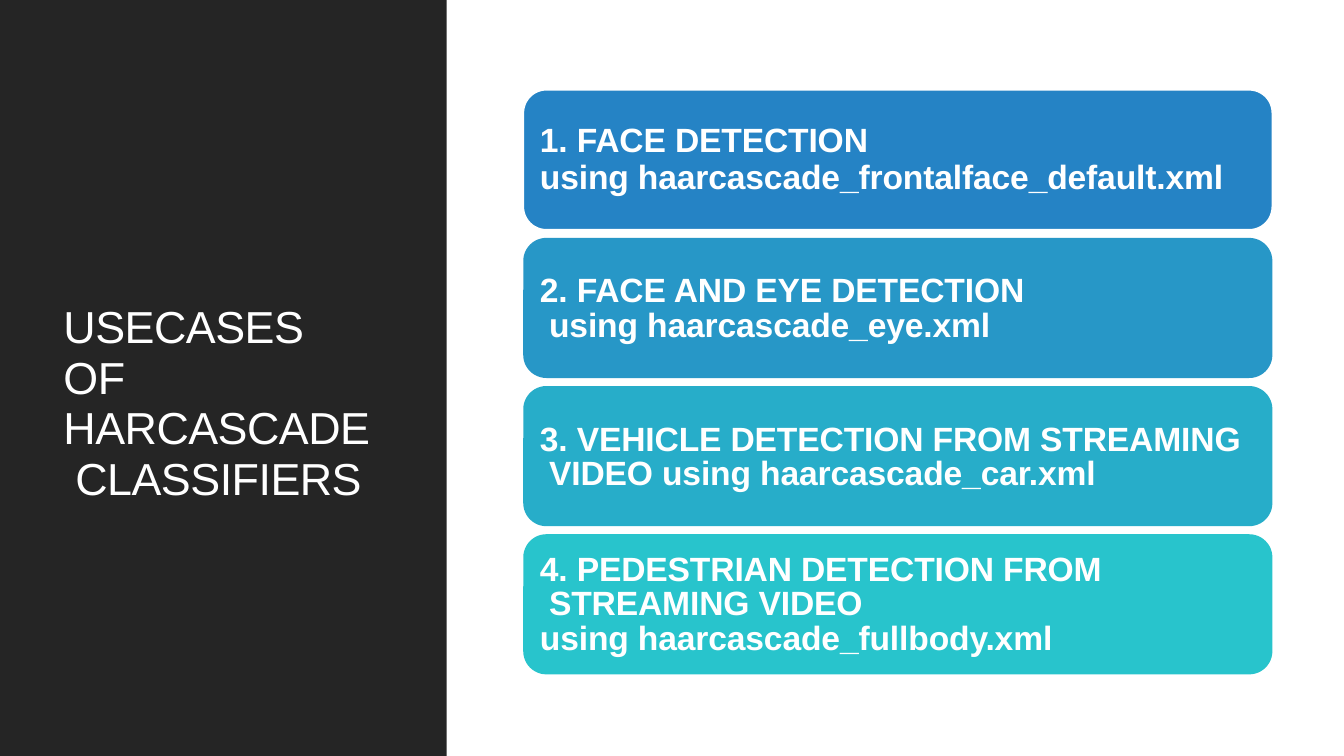
from dataclasses import dataclass

from pptx import Presentation
from pptx.dml.color import RGBColor
from pptx.enum.shapes import MSO_SHAPE
from pptx.enum.text import MSO_ANCHOR, PP_ALIGN
from pptx.shapes.autoshape import Shape
from pptx.slide import Slide
from pptx.text.text import TextFrame
from pptx.util import Inches, Pt

RECT = MSO_SHAPE.RECTANGLE
ROUND = MSO_SHAPE.ROUNDED_RECTANGLE
TOP = MSO_ANCHOR.TOP
LEFT = PP_ALIGN.LEFT

HUES = {
    "white": "FFFFFF",
    "dark": "252525",
    "blue": "2583C5",
    "azure": "2797C7",
    "teal": "27ADC9",
    "aqua": "28C4CC",
}
FONT = "Arial"
CARD_X, CARD_Y = 5.19, 0.89
CARD_W, CARD_H = 7.43, 1.39
PITCH = 1.47
TITLE = "USECASES\vOF\vHARCASCADE\v CLASSIFIERS"


@dataclass(frozen=True)
class Card:
    """One use case; inset is the gap above its text in inches."""
    hue: str
    lines: tuple[str, ...]
    inset: float
    lead: float = 24.8
    rim: bool = False


CARDS = (
    Card("blue", ("1. FACE DETECTION",
                  "using haarcascade_frontalface_default.xml"),
         0.25, 26.8, True),
    Card("azure", ("2. FACE AND EYE DETECTION\v using haarcascade_eye.xml",),
         0.3),
    Card("teal", ("3. VEHICLE DETECTION FROM STREAMING\v"
                  " VIDEO using haarcascade_car.xml",), 0.3),
    Card("aqua", ("4. PEDESTRIAN DETECTION FROM\v STREAMING VIDEO",
                  "using haarcascade_fullbody.xml"), 0.12),
)


def color(hue: str) -> RGBColor:
    return RGBColor.from_string(HUES[hue])


def add_block(slide: Slide, kind: MSO_SHAPE, x: float, y: float,
              w: float, h: float, hue: str) -> Shape:
    block = slide.shapes.add_shape(
        kind, Inches(x), Inches(y), Inches(w), Inches(h))
    block.shadow.inherit = False
    block.fill.solid()
    block.fill.fore_color.rgb = color(hue)
    block.line.fill.background()
    return block


def write(frame: TextFrame, lines: tuple[str, ...], size: float,
          lead: float | Pt, track: float, bold: bool = False,
          left: float = 0, top: float = 0) -> None:
    """Fill a frame; track is the letter spacing in points."""
    frame.word_wrap = True
    frame.vertical_anchor = TOP
    frame.margin_left, frame.margin_top = Inches(left), Inches(top)
    frame.margin_right = frame.margin_bottom = 0
    frame.text = "\n".join(lines)
    for para in frame.paragraphs:
        para.alignment = LEFT
        para.line_spacing = lead
        para.font.name = FONT
        para.font.size = Pt(size)
        para.font.bold = bold
        para.font.color.rgb = color("white")
        for run in para.runs:
            run._r.get_or_add_rPr().set("spc", str(round(track * 100)))


def add_card(slide: Slide, card: Card, y: float) -> None:
    block = add_block(slide, ROUND, CARD_X, y, CARD_W, CARD_H, card.hue)
    block.adjustments[0] = 0.165
    if card.rim:
        block.line.color.rgb = color("white")
        block.line.width = Pt(1.25)
    write(block.text_frame, card.lines, 24, Pt(card.lead), -0.1,
          bold=True, left=0.1, top=card.inset)


def main() -> None:
    deck = Presentation()
    deck.slide_width, deck.slide_height = Inches(13.33), Inches(7.5)
    slide = deck.slides.add_slide(deck.slide_layouts[6])
    add_block(slide, RECT, 0, 0, 4.43, 7.5, "dark")
    title = slide.shapes.add_textbox(
        Inches(0.63), Inches(3.01), Inches(3.3), Inches(1.95))
    write(title.text_frame, (TITLE,), 32, 0.94, -0.4)
    for row, card in enumerate(CARDS):
        add_card(slide, card, CARD_Y + row * PITCH)
    deck.save("out.pptx")


if __name__ == "__main__":
    main()
